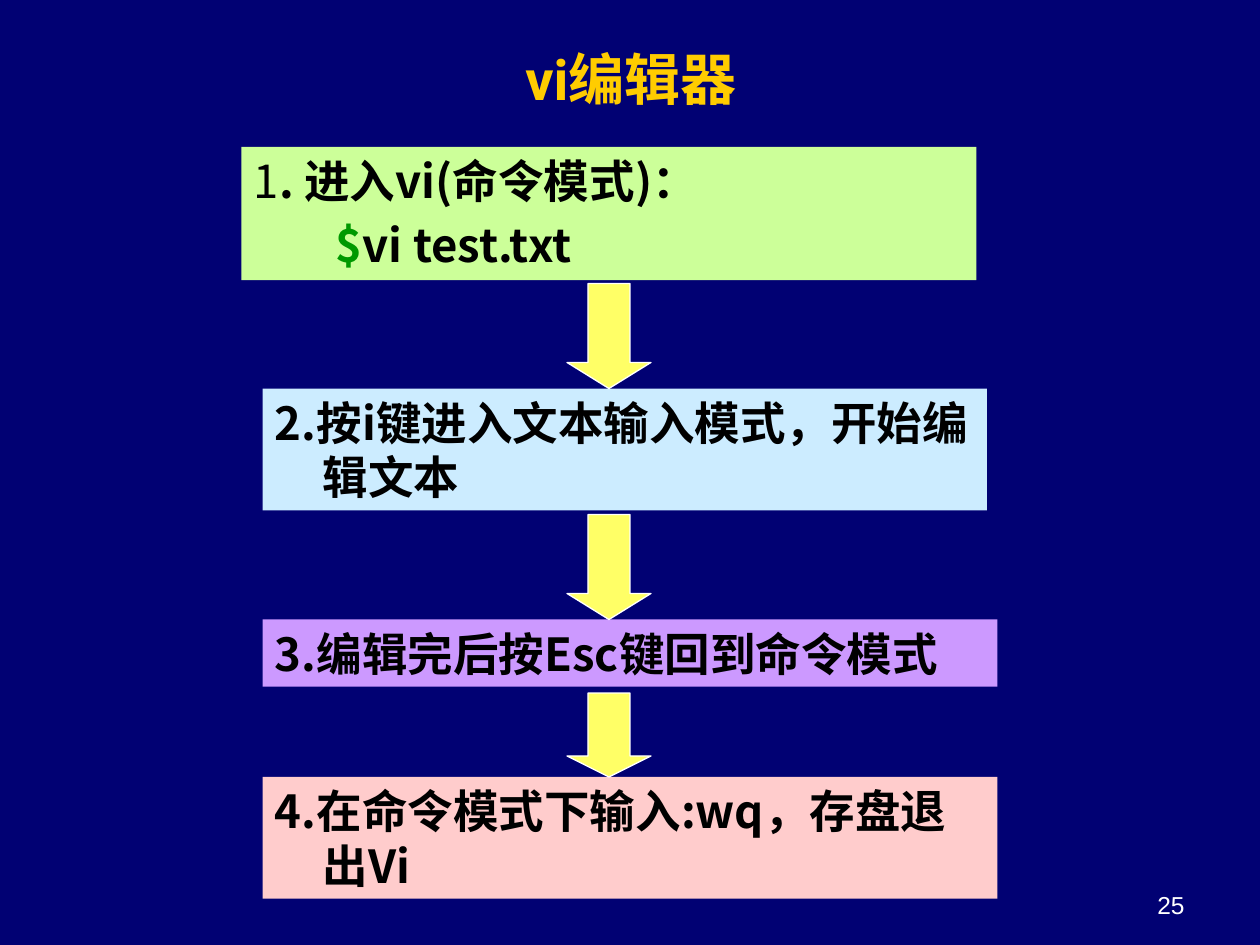
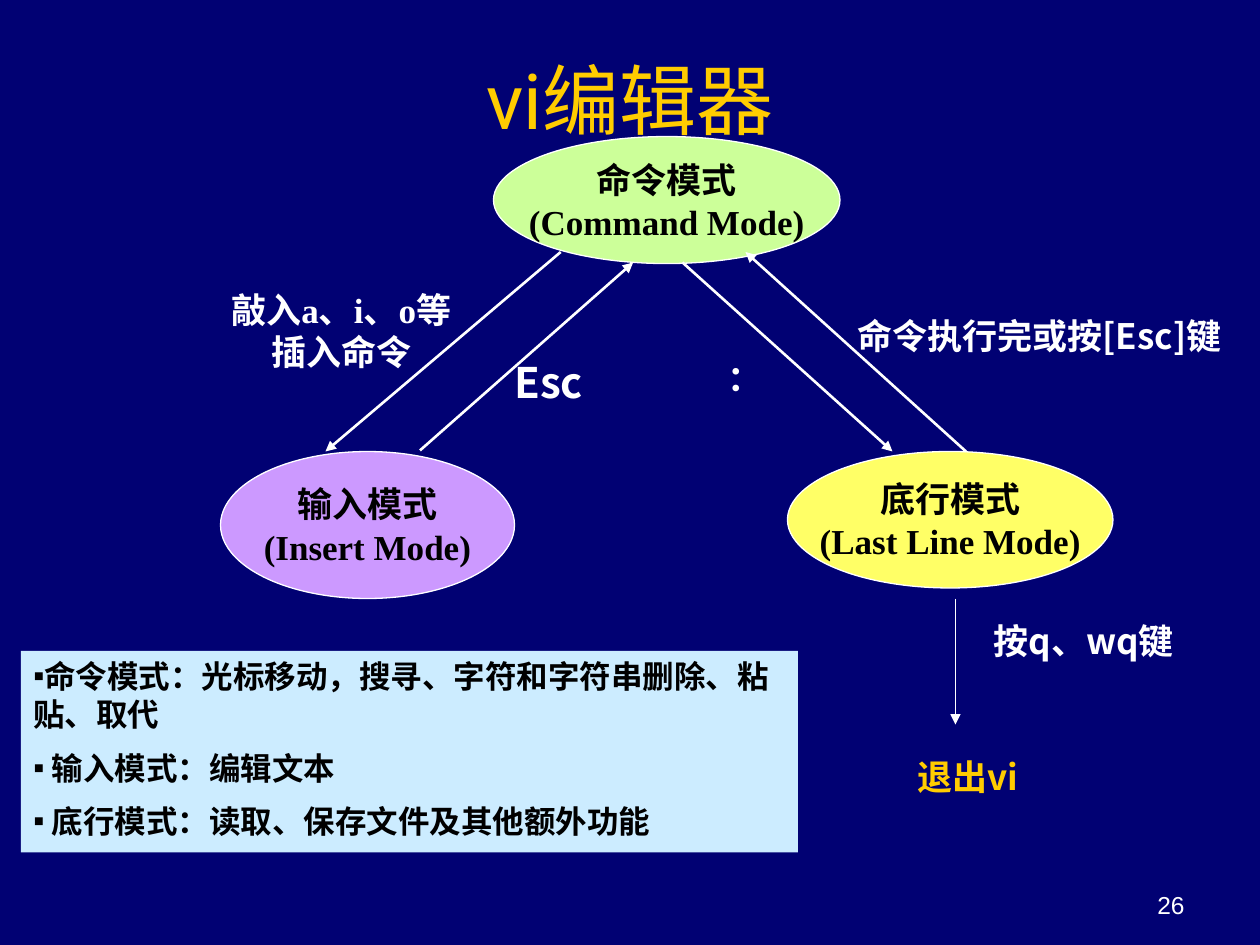
"""Build two slides about the vi editor: its workflow and its modes."""
from dataclasses import dataclass
from typing import NamedTuple, Optional

import lxml.etree
import pptx
import pptx.dml.color
import pptx.enum.shapes
import pptx.enum.text
import pptx.oxml.ns
import pptx.util

RGBColor = pptx.dml.color.RGBColor
Shapes = pptx.enum.shapes.MSO_SHAPE
Align = pptx.enum.text.PP_ALIGN
Anchor = pptx.enum.text.MSO_ANCHOR
qn = pptx.oxml.ns.qn

NAVY = RGBColor(0x01, 0x01, 0x73)
GOLD = RGBColor(0xFF, 0xCC, 0x00)
WHITE = RGBColor(0xFF, 0xFF, 0xFF)
BLACK = RGBColor(0x00, 0x00, 0x00)
GREEN = RGBColor(0x00, 0x99, 0x00)
LIME = RGBColor(0xCC, 0xFF, 0x99)
SKY = RGBColor(0xCC, 0xEC, 0xFF)
VIOLET = RGBColor(0xCC, 0x99, 0xFF)
PINK = RGBColor(0xFF, 0xCC, 0xCC)
YELLOW = RGBColor(0xFF, 0xFF, 0x66)

SANS, SERIF, TITLE_FONT, NUMBER_FONT = (
    "Noto Sans CJK SC", "Times New Roman", "Roboto", "Arial")
TITLE = "vi编辑器"
COLUMNS, ROWS = 120, 90
CELL = pptx.util.Inches(10) // COLUMNS
LINE_PITCH = 1.2


class Area(NamedTuple):
    """A rectangle in grid columns and rows."""
    column: float
    row: float
    width: float
    height: float

    def lengths(self) -> list[int]:
        """Give left, top, width and height as slide lengths."""
        return [round(value * CELL) for value in self]


class Span(NamedTuple):
    """A piece of text with its own colour and weight."""
    text: str
    color: RGBColor = BLACK
    bold: bool = True


@dataclass(frozen=True)
class Line:
    """One paragraph, with indents in inches and space before in points."""
    spans: tuple[Span, ...]
    margin: float = 0
    indent: float = 0
    before: float = 0
    bullet: str = ""


@dataclass(frozen=True)
class Style:
    """How the paragraphs of one box look."""
    font: str
    size: float
    align: Align = Align.CENTER
    anchor: Anchor = Anchor.MIDDLE
    wrap: bool = False
    fixed_pitch: bool = True
    side_inset: float = 0.1


@dataclass(frozen=True)
class Step:
    """A box of the workflow."""
    area: Area
    fill: RGBColor
    lines: tuple[Line, ...]


@dataclass(frozen=True)
class Mode:
    """An ellipse that stands for an editor mode."""
    area: Area
    fill: RGBColor
    names: tuple[str, str]


@dataclass(frozen=True)
class Label:
    """Free text beside the arrows."""
    area: Area
    texts: tuple[str, ...]
    font: str = SANS
    size: float = 20
    color: RGBColor = WHITE


class Arrow(NamedTuple):
    """A straight arrow between two grid points."""
    start: tuple[float, float]
    end: tuple[float, float]
    weight: float = 1.5


STEP_STYLE = Style(SANS, 26, Align.LEFT, Anchor.TOP, True)
PANEL_STYLE = Style(SERIF, 18, Align.LEFT, Anchor.TOP, True)
MODE_STYLE = Style(SERIF, 20)
NUMBER_STYLE = Style(NUMBER_FONT, 14, Align.RIGHT, Anchor.BOTTOM, True, False)


def step_line(*spans: Span) -> Line:
    """Make a numbered line with a hanging indent."""
    return Line(spans, 0.38, -0.38, 5.2)


STEPS = (
    Step(Area(23, 14, 70, 12.7), LIME, (
        step_line(Span("1", bold=False), Span(". 进入vi(命令模式)：")),
        Line((Span("$", GREEN), Span("vi test.txt")), margin=0.65, before=5.2))),
    Step(Area(25, 37, 69, 11.6), SKY,
         (step_line(Span("2.按i键进入文本输入模式，开始编辑文本")),)),
    Step(Area(25, 59, 70, 6.4), VIOLET,
         (step_line(Span("3.编辑完后按Esc键回到命令模式")),)),
    Step(Area(25, 74, 70, 11.6), PINK,
         (step_line(Span("4.在命令模式下输入:wq，存盘退出Vi")),)),
)
# Height of the arrow that ends on each later step, and its head ratio.
STEP_ARROWS = ((10, 0.31), (10, 0.31), (8, 0.25))

MODES = (
    Mode(Area(47, 13, 33, 12.1), LIME, ("命令模式", "(Command Mode)")),
    Mode(Area(21, 43, 28, 14), VIOLET, ("输入模式", "(Insert Mode)")),
    Mode(Area(75, 43, 31, 13), YELLOW, ("底行模式", "(Last Line Mode)")),
)
ARROWS = (
    Arrow((53.4, 24), (31, 43)),
    Arrow((40, 42.9), (60.3, 25)),
    Arrow((65, 25), (85, 43)),
    Arrow((92, 43), (71, 24)),
    Arrow((91, 57), (91, 69), 0.75),
)
LABELS = (
    Label(Area(19, 27, 27, 9), ("敲入a、i、o等", "插入命令"), SERIF),
    Label(Area(48, 34, 8.5, 4.8), ("Esc",), size=24),
    Label(Area(80, 29, 38, 6), ("命令执行完或按[Esc]键",)),
    Label(Area(68, 33, 6, 6), ("：",), SERIF),
    Label(Area(92, 58, 22.4, 6), ("按q、wq键",)),
    Label(Area(81, 71, 22.4, 6), ("退出vi",), color=GOLD),
)
PANEL_TEXTS = (
    "命令模式：光标移动，搜寻、字符和字符串删除、粘贴、取代",
    " 输入模式：编辑文本",
    " 底行模式：读取、保存文件及其他额外功能",
)


def plain_lines(texts: tuple[str, ...], color: RGBColor = BLACK) -> tuple[Line, ...]:
    """Make one bold line of each text."""
    return tuple(Line((Span(text, color),)) for text in texts)


def write(box, lines: tuple[Line, ...], style: Style) -> None:
    """Fill a box with styled paragraphs."""
    frame = box.text_frame
    frame.word_wrap = style.wrap
    frame.vertical_anchor = style.anchor
    frame.margin_left = frame.margin_right = pptx.util.Inches(style.side_inset)
    for index, line in enumerate(lines):
        para = frame.add_paragraph() if index else frame.paragraphs[0]
        para.alignment = style.align
        para.space_before = pptx.util.Pt(line.before)
        if style.fixed_pitch:
            para.line_spacing = pptx.util.Pt(round(style.size * LINE_PITCH, 1))
        properties = para._p.get_or_add_pPr()
        properties.set("marL", str(pptx.util.Inches(line.margin)))
        properties.set("indent", str(pptx.util.Inches(line.indent)))
        if line.bullet:
            face = lxml.etree.SubElement(properties, qn("a:buFont"))
            face.set("typeface", style.font)
            mark = lxml.etree.SubElement(properties, qn("a:buChar"))
            mark.set("char", line.bullet)
        for span in line.spans:
            run = para.add_run()
            run.text = span.text
            run.font.name = style.font
            run.font.size = pptx.util.Pt(style.size)
            run.font.bold = span.bold
            run.font.color.rgb = span.color


def add_text(page, area: Area, lines: tuple[Line, ...], style: Style) -> None:
    """Add a text box without fill."""
    write(page.shapes.add_textbox(*area.lengths()), lines, style)


def add_figure(page, kind: Shapes, area: Area, fill: RGBColor,
               outline: Optional[RGBColor] = None):
    """Add a flat preset shape, with a thin outline if a colour is given."""
    figure = page.shapes.add_shape(kind, *area.lengths())
    figure.shadow.inherit = False
    figure.fill.solid()
    figure.fill.fore_color.rgb = fill
    if outline is None:
        figure.line.fill.background()
    else:
        figure.line.color.rgb = outline
        figure.line.width = pptx.util.Pt(0.75)
    return figure


def add_arrow(page, arrow: Arrow) -> None:
    """Add a white line with a triangular head at its end."""
    points = [round(value * CELL) for value in (*arrow.start, *arrow.end)]
    connector = page.shapes.add_connector(
        pptx.enum.shapes.MSO_CONNECTOR.STRAIGHT, *points)
    connector.line.color.rgb = WHITE
    connector.line.width = pptx.util.Pt(arrow.weight)
    head = lxml.etree.SubElement(connector.line._get_or_add_ln(), qn("a:tailEnd"))
    head.set("type", "triangle")
    lxml.etree.SubElement(connector._element.spPr, qn("a:effectLst"))


def add_page(deck, number: int, title_area: Area, title_size: float, bold: bool):
    """Add a navy slide with its title and number."""
    page = deck.slides.add_slide(deck.slide_layouts[6])
    page.background.fill.solid()
    page.background.fill.fore_color.rgb = NAVY
    add_text(page, Area(86, 82, 28, 6.2),
             (Line((Span(str(number), WHITE, False),)),), NUMBER_STYLE)
    add_text(page, title_area, (Line((Span(TITLE, GOLD, bold),)),),
             Style(TITLE_FONT, title_size, wrap=True, fixed_pitch=False))
    return page


def build_workflow(deck) -> None:
    """Draw the four steps, joined by block arrows."""
    page = add_page(deck, 25, Area(6.1, 4.3, 108, 6.2), 32, True)
    for step in STEPS:
        box = add_figure(page, Shapes.RECTANGLE, step.area, step.fill)
        write(box, step.lines, STEP_STYLE)
    for step, (height, head) in zip(STEPS[1:], STEP_ARROWS):
        area = Area(54, step.area.row - height, 8, height)
        arrow = add_figure(page, Shapes.DOWN_ARROW, area, YELLOW, WHITE)
        arrow.adjustments[0] = 0.5
        arrow.adjustments[1] = head


def build_modes(deck) -> None:
    """Draw the three modes, the moves between them and a summary."""
    page = add_page(deck, 26, Area(6, 3.9, 108, 10.9), 44, False)
    for mode in MODES:
        ellipse = add_figure(page, Shapes.OVAL, mode.area, mode.fill, WHITE)
        write(ellipse, plain_lines(mode.names), MODE_STYLE)
    for arrow in ARROWS:
        add_arrow(page, arrow)
    for label in LABELS:
        add_text(page, label.area, plain_lines(label.texts, label.color),
                 Style(label.font, label.size, side_inset=0))
    panel = add_figure(page, Shapes.RECTANGLE, Area(2, 62, 74, 19.2), SKY)
    write(panel, tuple(Line((Span(text),), before=9, bullet="▪")
                       for text in PANEL_TEXTS), PANEL_STYLE)


def main() -> None:
    """Build and save the deck."""
    deck = pptx.Presentation()
    deck.slide_width = COLUMNS * CELL
    deck.slide_height = ROWS * CELL
    build_workflow(deck)
    build_modes(deck)
    deck.save("out.pptx")


main()
